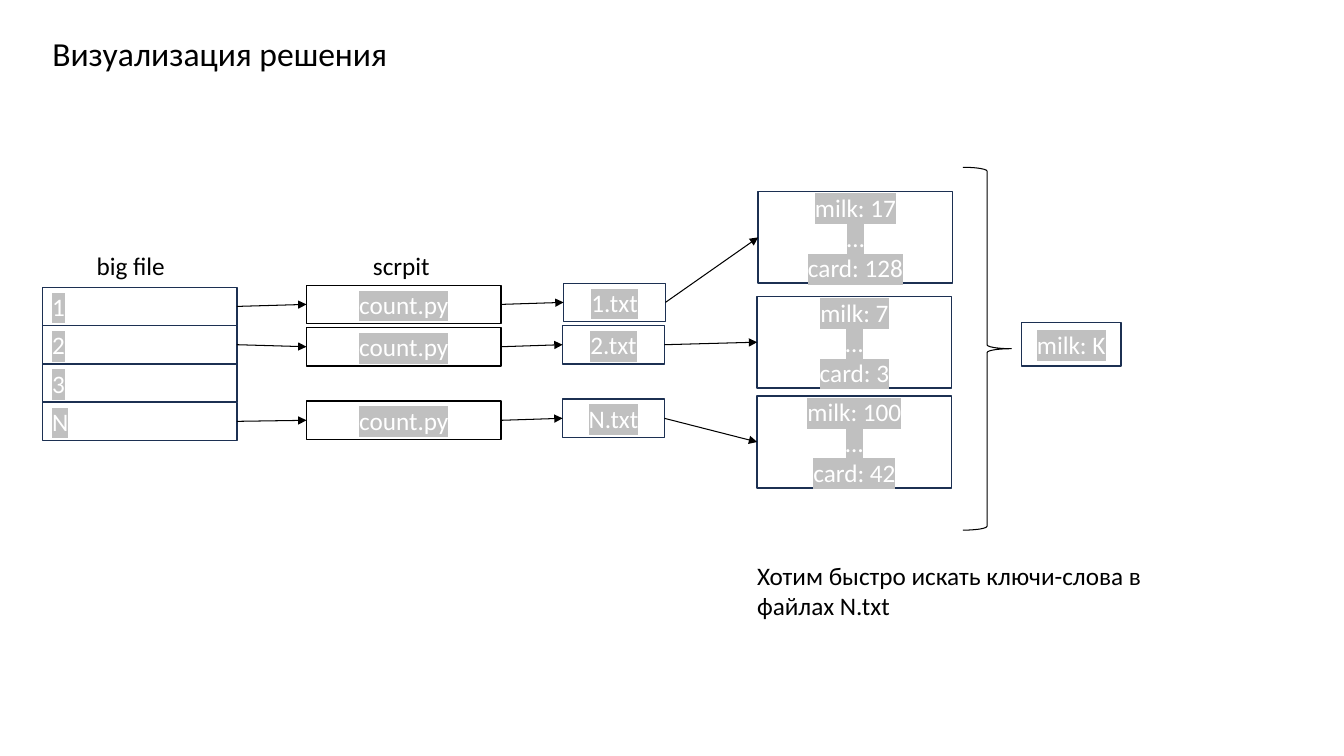
from dataclasses import dataclass

from lxml import etree
from pptx import Presentation
from pptx import util as u
from pptx.dml import color
from pptx.enum import shapes, text
from pptx.oxml import ns

FONT = "Calibri"
BLACK, WHITE, NAVY, GREY = "000000", "FFFFFF", "1C3052", "C0C0C0"
COLUMN_WIDTH, ROW_HEIGHT = 1.93, 0.38
LEFT_SITE, RIGHT_SITE = 1, 3


@dataclass
class Box:
    left: float
    top: float
    width: float
    height: float
    lines: list[str]
    border: str = NAVY
    centred: bool = True


@dataclass
class Label:
    left: float
    top: float
    width: float
    height: float
    words: str
    size: int = 18


@dataclass
class Pipeline:
    chunk_row: int
    script_top: float
    file_left: float
    file_name: str
    counts_left: float
    counts_top: float
    counts: list[str]


def rgb(value: str) -> color.RGBColor:
    return color.RGBColor.from_string(value)


def child(parent, tag: str, **attributes: str):
    return etree.SubElement(parent, ns.qn(tag), attributes)


def add_span(para, words: str, size: int, colour: str, highlight: str = "") -> None:
    span = para.add_run()
    span.text = words
    span.font.size = u.Pt(size)
    span.font.color.rgb = rgb(colour)
    span.font.name = FONT
    if highlight:
        properties = span._r.get_or_add_rPr()
        marker = child(properties, "a:highlight")
        child(marker, "a:srgbClr", val=highlight)
        properties.find(ns.qn("a:solidFill")).addnext(marker)


def draw_box(page, box: Box):
    shape = page.shapes.add_shape(
        shapes.MSO_SHAPE.RECTANGLE,
        u.Inches(box.left), u.Inches(box.top), u.Inches(box.width), u.Inches(box.height),
    )
    shape.shadow.inherit = False
    shape.fill.solid()
    shape.fill.fore_color.rgb = rgb(WHITE)
    shape.line.color.rgb = rgb(box.border)
    shape.line.width = u.Pt(1)
    frame = shape.text_frame
    frame.word_wrap = True
    frame.vertical_anchor = text.MSO_ANCHOR.MIDDLE
    for index, words in enumerate(box.lines):
        para = frame.add_paragraph() if index else frame.paragraphs[0]
        para.alignment = text.PP_ALIGN.CENTER if box.centred else text.PP_ALIGN.LEFT
        add_span(para, words, 18, WHITE, GREY)
    return shape


def draw_label(page, label: Label) -> None:
    shape = page.shapes.add_textbox(
        u.Inches(label.left), u.Inches(label.top), u.Inches(label.width), u.Inches(label.height)
    )
    frame = shape.text_frame
    frame.word_wrap = True
    frame.auto_size = text.MSO_AUTO_SIZE.SHAPE_TO_FIT_TEXT
    add_span(frame.paragraphs[0], label.words, label.size, BLACK)


def draw_arrow(page, source, target) -> None:
    arrow = page.shapes.add_connector(shapes.MSO_CONNECTOR.STRAIGHT, 0, 0, 0, 0)
    arrow.begin_connect(source, RIGHT_SITE)
    arrow.end_connect(target, LEFT_SITE)
    arrow.line.color.rgb = rgb(BLACK)
    arrow.line.width = u.Pt(0.75)
    properties = arrow._element.spPr
    child(properties.find(ns.qn("a:ln")), "a:tailEnd", type="triangle")
    child(properties, "a:effectLst")


def draw_brace(page) -> None:
    brace = page.shapes.add_shape(
        shapes.MSO_SHAPE.RIGHT_BRACE, u.Inches(9.55), u.Inches(1.66), u.Inches(0.48), u.Inches(3.6)
    )
    brace.shadow.inherit = False
    brace.fill.background()
    brace.line.color.rgb = rgb(BLACK)
    brace.line.width = u.Pt(0.75)
    brace.adjustments[0] = 0.08


LABELS = [
    Label(0.42, 0.28, 6.21, 0.5, "Визуализация решения", 24),
    Label(0.86, 2.43, 1.05, 0.4, "big file"),
    Label(3.6, 2.43, 0.81, 0.4, "scrpit"),
    Label(7.41, 5.51, 4.45, 0.71, "Хотим быстро искать ключи-слова в файлах N.txt"),
]
PIPELINES = [
    Pipeline(0, 2.83, 5.59, "1.txt", 7.52, 1.9, ["milk: 17", "…", "card: 128"]),
    Pipeline(1, 3.25, 5.58, "2.txt", 7.51, 2.94, ["milk: 7", "…", "card: 3"]),
    Pipeline(3, 3.98, 5.58, "N.txt", 7.51, 3.93, ["milk: 100", "…", "card: 42"]),
]


def main() -> None:
    deck = Presentation()
    deck.slide_width, deck.slide_height = u.Inches(13.33), u.Inches(7.5)
    page = deck.slides.add_slide(deck.slide_layouts[6])

    for label in LABELS:
        draw_label(page, label)

    chunks = [
        draw_box(page, Box(0.42, 2.85 + row * ROW_HEIGHT, COLUMN_WIDTH, ROW_HEIGHT, [name], centred=False))
        for row, name in enumerate("123N")
    ]
    for line in PIPELINES:
        script = draw_box(page, Box(3.04, line.script_top, COLUMN_WIDTH, ROW_HEIGHT, ["count.py"], BLACK))
        file = draw_box(page, Box(line.file_left, line.script_top - 0.02, 1.01, ROW_HEIGHT, [line.file_name]))
        counts = draw_box(page, Box(line.counts_left, line.counts_top, COLUMN_WIDTH, 0.91, line.counts))
        stages = [chunks[line.chunk_row], script, file, counts]
        for source, target in zip(stages, stages[1:]):
            draw_arrow(page, source, target)

    draw_brace(page)
    draw_box(page, Box(10.13, 3.2, 0.99, 0.43, ["milk: K"]))
    deck.save("out.pptx")


if __name__ == "__main__":
    main()
